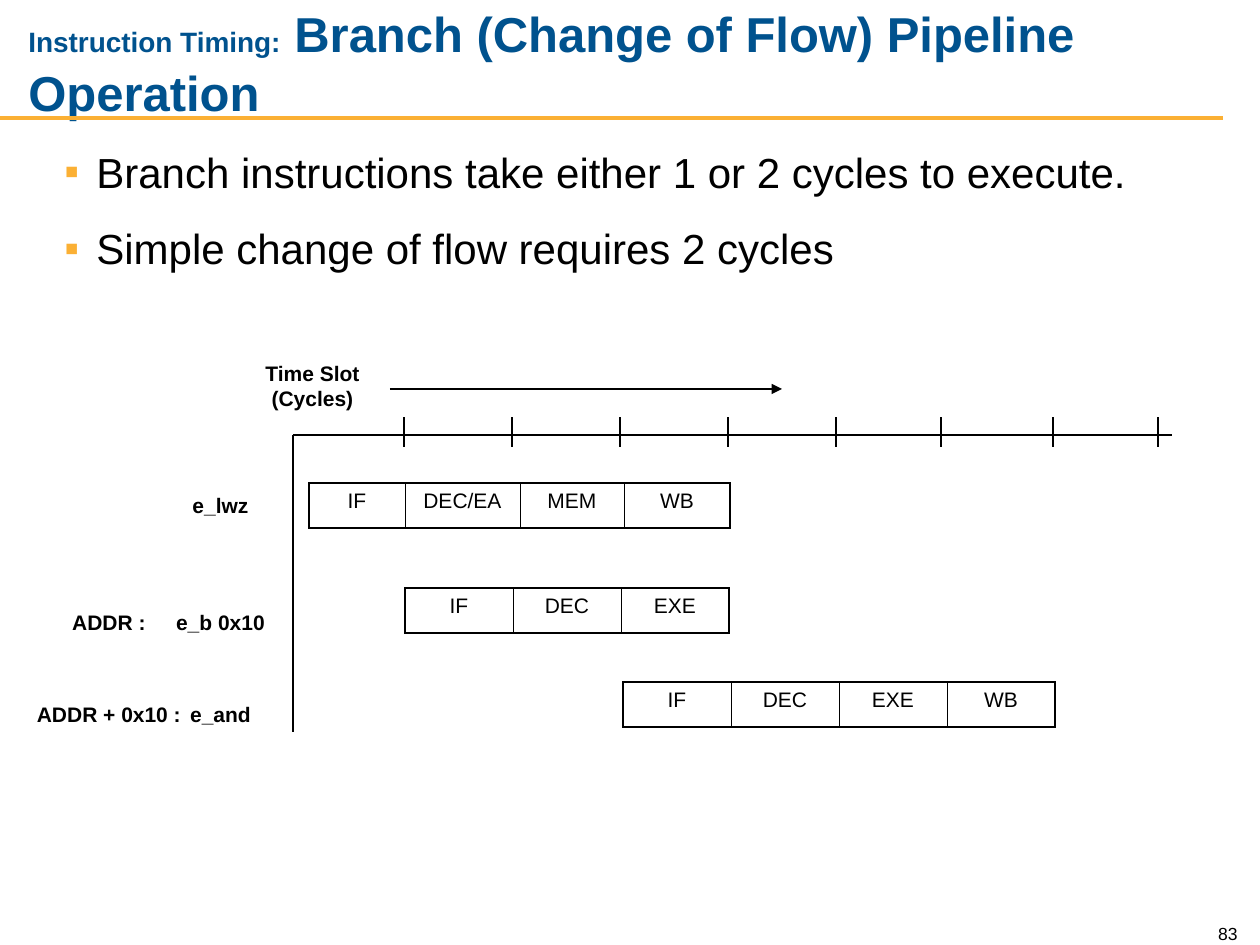
from lxml import etree
from pptx import Presentation
from pptx.dml.color import RGBColor
from pptx.enum.shapes import MSO_CONNECTOR
from pptx.enum.text import MSO_ANCHOR, PP_ALIGN
from pptx.oxml.ns import qn
from pptx.util import Pt

LINE = MSO_CONNECTOR.STRAIGHT
LEFT, CENTER, RIGHT = PP_ALIGN.LEFT, PP_ALIGN.CENTER, PP_ALIGN.RIGHT
TOP, MIDDLE, BOTTOM = MSO_ANCHOR.TOP, MSO_ANCHOR.MIDDLE, MSO_ANCHOR.BOTTOM
BLACK = RGBColor(0x00, 0x00, 0x00)
BLUE = RGBColor(0x00, 0x52, 0x8E)
AMBER = RGBColor(0xFB, 0xB0, 0x34)
SLOT = 108
ROW_H = 45


def px(n):
    return round(n * 914400 / 126)


def add_run(p, text, size=12, bold=False, color=BLACK):
    r = p.add_run()
    r.text = text
    r.font.name = "Arial"
    r.font.size = Pt(size)
    r.font.bold = bold
    r.font.color.rgb = color


def add_box(s, x, y, w, h, anchor=TOP):
    tf = s.shapes.add_textbox(px(x), px(y), px(w), px(h)).text_frame
    tf.word_wrap = True
    tf.vertical_anchor = anchor
    return tf


def add_text(s, text, x, y, w, h, align=LEFT, anchor=TOP, **fmt):
    p = add_box(s, x, y, w, h, anchor).paragraphs[0]
    p.alignment = align
    add_run(p, text, **fmt)


def add_line(s, x1, y1, x2, y2, color=BLACK, width=0.75, arrow=False):
    c = s.shapes.add_connector(LINE, px(x1), px(y1), px(x2), px(y2))
    c.line.color.rgb = color
    c.line.width = Pt(width)
    if arrow:
        etree.SubElement(c.line._get_or_add_ln(), qn("a:tailEnd"), type="triangle")
    etree.SubElement(c._element.spPr, qn("a:effectLst"))


def add_title(s, x, y, w, h):
    p = add_box(s, x, y, w, h, MIDDLE).paragraphs[0]
    add_run(p, "Instruction Timing:", size=16, bold=True, color=BLUE)
    add_run(p, " Branch (Change of Flow) Pipeline Operation", size=28, bold=True, color=BLUE)
    add_line(s, 0, 118, 1223, 118, color=AMBER, width=2.25)


def add_bullets(s, items, x, y, w, h):
    tf = add_box(s, x, y, w, h)
    for i, text in enumerate(items):
        p = tf.add_paragraph() if i else tf.paragraphs[0]
        pPr = p._p.get_or_add_pPr()
        pPr.set("marL", str(px(32)))
        pPr.set("indent", str(-px(32)))
        if i:
            p.space_before = Pt(15)
        clr = etree.SubElement(pPr, qn("a:buClr"))
        etree.SubElement(clr, qn("a:srgbClr"), val=str(AMBER))
        etree.SubElement(pPr, qn("a:buFont"), typeface="Arial")
        etree.SubElement(pPr, qn("a:buChar"), char="▪")
        add_run(p, text, size=24)


def set_borders(cell, **widths):
    tcPr = cell._tc.get_or_add_tcPr()
    for i, side in enumerate("LRTB"):
        ln = etree.Element(qn(f"a:ln{side}"), w=str(Pt(widths[side])))
        fill = etree.SubElement(ln, qn("a:solidFill"))
        etree.SubElement(fill, qn("a:srgbClr"), val=str(BLACK))
        tcPr.insert(i, ln)


def add_stages(s, stages, x, y, widths):
    shape = s.shapes.add_table(1, len(stages), px(x), px(y), px(sum(widths)), px(ROW_H))
    table = shape.table
    table.first_row = table.horz_banding = False
    table.rows[0].height = px(ROW_H)
    last = len(stages) - 1
    for i, (stage, width) in enumerate(zip(stages, widths)):
        table.columns[i].width = px(width)
        cell = table.cell(0, i)
        cell.fill.background()
        set_borders(cell, L=0.45 if i else 1.08, R=1.08 if i == last else 0.45, T=1.08, B=1.08)
        p = cell.text_frame.paragraphs[0]
        p.alignment = CENTER
        add_run(p, stage)


def add_time_axis(s, x, y, w, h):
    add_text(s, "Time Slot (Cycles)", x - 50, y - 81, 139, 63, align=CENTER, bold=True)
    add_line(s, x + 97, y - 46, x + 489, y - 46, arrow=True)
    add_line(s, x, y, x + w, y)
    add_line(s, x, y, x, y + h)
    for tick in (111, 219, 327, 435, 543, 648, 760, 865):
        add_line(s, x + tick, y + 12, x + tick, y - 18)


def add_pipeline(s, x, y, w, h):
    add_time_axis(s, x, y, w, h)
    rows = [
        ("", "e_lwz", 51, 16, 48, ["IF", "DEC/EA", "MEM", "WB"], [96, 115, 104, 106]),
        ("ADDR :", "e_b 0x10", 168, 112, 153, ["IF", "DEC", "EXE"], [SLOT] * 3),
        ("ADDR + 0x10 :", "e_and", 260, 330, 247, ["IF", "DEC", "EXE", "WB"], [SLOT] * 4),
    ]
    for address, name, label_y, stage_x, stage_y, stages, widths in rows:
        if address:
            add_text(s, address, x - 271, y + label_y, 174, 38, align=CENTER, bold=True)
        add_text(s, name, x - 142, y + label_y, 139, 38, align=CENTER, bold=True)
        add_stages(s, stages, x + stage_x, y + stage_y, widths)


def main():
    prs = Presentation()
    prs.slide_width, prs.slide_height = px(1260), px(945)
    s = prs.slides.add_slide(prs.slide_layouts[6])
    add_title(s, 16, 15, 1079, 95)
    add_bullets(s, ["Branch instructions take either 1 or 2 cycles to execute.",
                    "Simple change of flow requires 2 cycles"], 52, 140, 1090, 140)
    add_pipeline(s, 293, 435, 879, 297)
    add_text(s, "83", 1187, 912, 63, 38, align=RIGHT, anchor=BOTTOM, size=10)
    prs.save("out.pptx")


if __name__ == "__main__":
    main()
